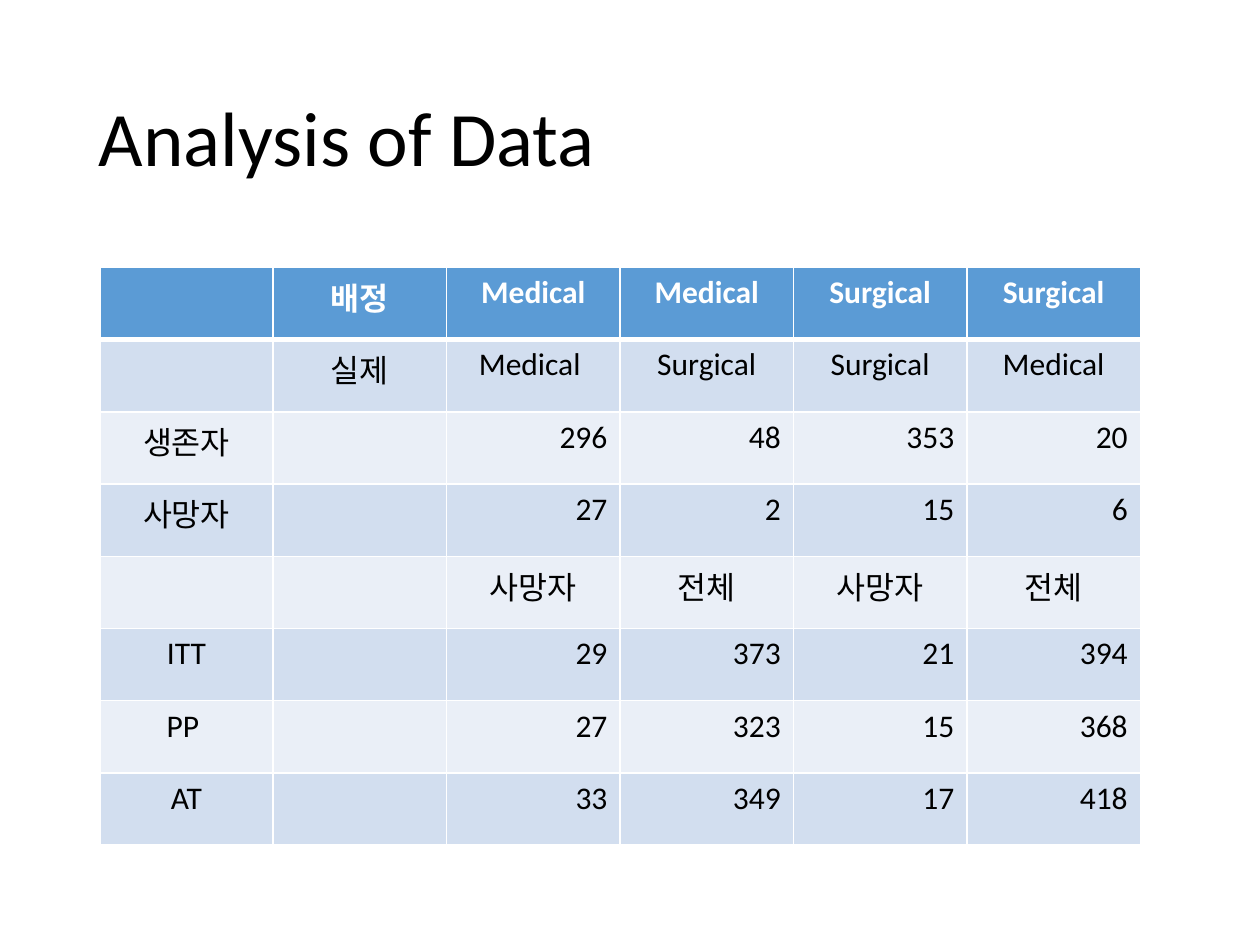
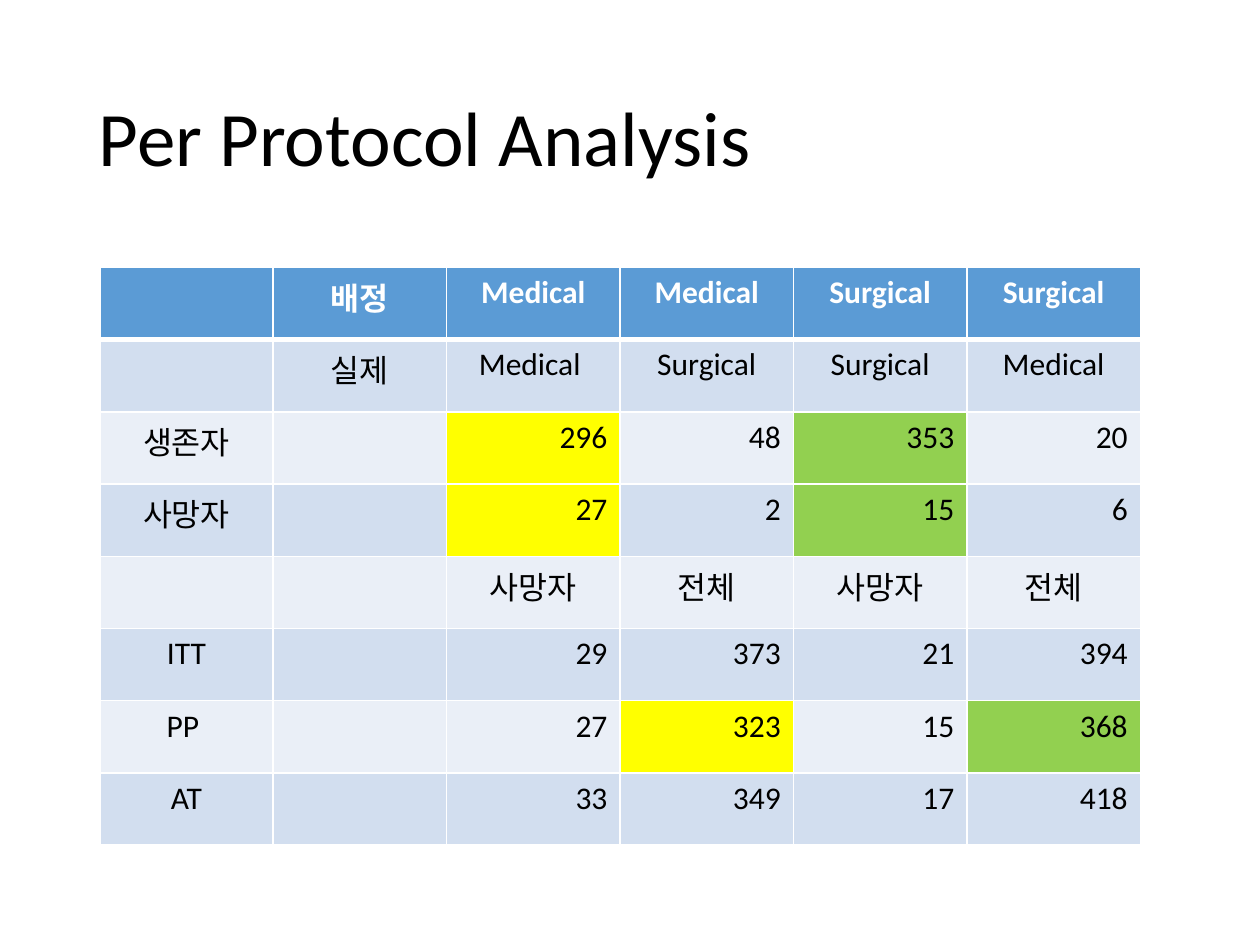
from lxml import etree
from pptx import Presentation
from pptx.dml.color import RGBColor
from pptx.enum import text
from pptx.oxml import ns
from pptx.util import Pt

FONT = "Calibri"
BLACK = RGBColor(0x00, 0x00, 0x00)
WHITE = RGBColor(0xFF, 0xFF, 0xFF)
HEADER_BLUE = RGBColor(0x5B, 0x9B, 0xD5)
BAND_DARK = RGBColor(0xD2, 0xDE, 0xEF)
BAND_LIGHT = RGBColor(0xEA, 0xEF, 0xF7)
YELLOW = RGBColor(0xFF, 0xFF, 0x00)
GREEN = RGBColor(0x92, 0xD0, 0x50)

COLUMN_WIDTH, ROW_HEIGHT = Pt(99.1), Pt(41.3)

TRIAL_ROWS = [
    ["", "배정", "Medical", "Medical", "Surgical", "Surgical"],
    ["", "실제", "Medical ", "Surgical", "Surgical", "Medical"],
    ["생존자", "", " 296", "48", "353", "20"],
    ["사망자", "", "27", "2", "15", "6"],
    ["", "", "사망자", "전체", "사망자", "전체"],
    ["ITT", "", "29", "373", "21", "394"],
    ["PP ", "", "27", "323", "15", "368"],
    ["AT", "", "33", "349", "17", "418"],
]

# Cells (row, column) that enter the per protocol totals
PER_PROTOCOL = {
    (2, 2): YELLOW, (3, 2): YELLOW, (6, 3): YELLOW,
    (2, 4): GREEN, (3, 4): GREEN, (6, 5): GREEN,
}


def style_font(font, size, color, bold=False):
    font.name = FONT
    font.size = Pt(size)
    font.color.rgb = color
    font.bold = bold


def add_title(page, title):
    box = page.shapes.add_textbox(Pt(49.5), Pt(28.75), Pt(621), Pt(104.4))
    frame = box.text_frame
    frame.word_wrap = True
    frame.vertical_anchor = text.MSO_ANCHOR.MIDDLE
    frame.text = title
    para = frame.paragraphs[0]
    para.line_spacing = 0.9
    style_font(para.runs[0].font, 44, BLACK)


def add_borders(cell, widths):
    """Draw white cell borders; widths maps a side (L, R, T, B) to points."""
    properties = cell._tc.get_or_add_tcPr()
    for side, width in widths.items():
        line = etree.SubElement(properties, ns.qn(f"a:ln{side}"), w=str(Pt(width)))
        fill = etree.SubElement(line, ns.qn("a:solidFill"))
        etree.SubElement(fill, ns.qn("a:srgbClr"), val=str(WHITE))


def fill_cell(cell, value, fill, is_header):
    cell.fill.solid()
    cell.fill.fore_color.rgb = fill
    cell.text_frame.text = value
    para = cell.text_frame.paragraphs[0]
    is_number = value.strip().isdigit()
    para.alignment = text.PP_ALIGN.RIGHT if is_number else text.PP_ALIGN.CENTER
    for span in para.runs:
        style_font(span.font, 18, WHITE if is_header else BLACK, is_header)


def add_trial_table(page, highlights):
    row_count, column_count = len(TRIAL_ROWS), len(TRIAL_ROWS[0])
    table = page.shapes.add_table(
        row_count, column_count, Pt(57), Pt(152.8),
        COLUMN_WIDTH * column_count, ROW_HEIGHT * row_count).table
    for column in table.columns:
        column.width = COLUMN_WIDTH
    for row_index, values in enumerate(TRIAL_ROWS):
        table.rows[row_index].height = ROW_HEIGHT
        is_header = row_index == 0
        band = HEADER_BLUE if is_header else (BAND_LIGHT, BAND_DARK)[row_index % 2]
        widths = {"L": 1, "R": 1, "T": 3 if row_index == 1 else 1,
                  "B": 3 if is_header else 1}
        for column_index, value in enumerate(values):
            cell = table.cell(row_index, column_index)
            add_borders(cell, widths)
            fill = highlights.get((row_index, column_index), band)
            fill_cell(cell, value, fill, is_header)


def main():
    deck = Presentation()
    deck.slide_width, deck.slide_height = Pt(720), Pt(540)
    for title, highlights in (("Analysis of Data", {}),
                              ("Per Protocol Analysis", PER_PROTOCOL)):
        page = deck.slides.add_slide(deck.slide_layouts[6])
        add_trial_table(page, highlights)
        add_title(page, title)
    deck.save("out.pptx")


if __name__ == "__main__":
    main()
